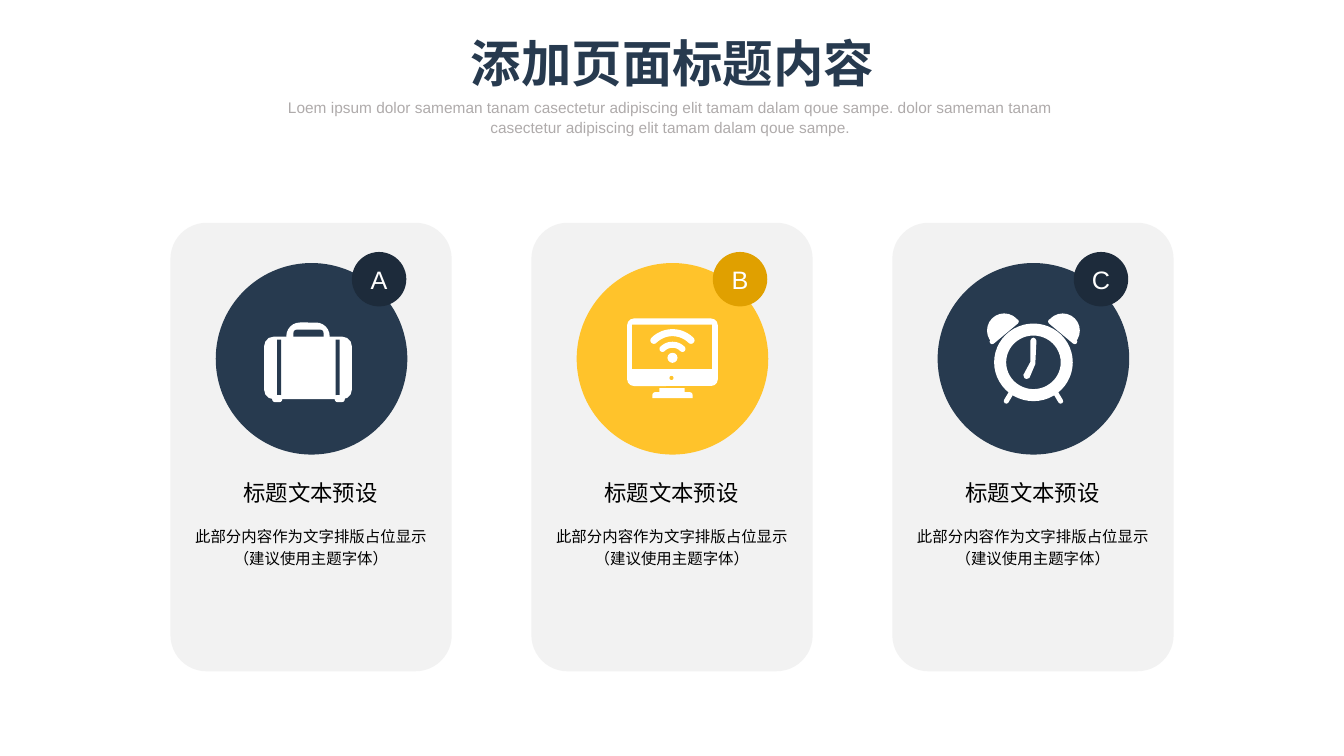
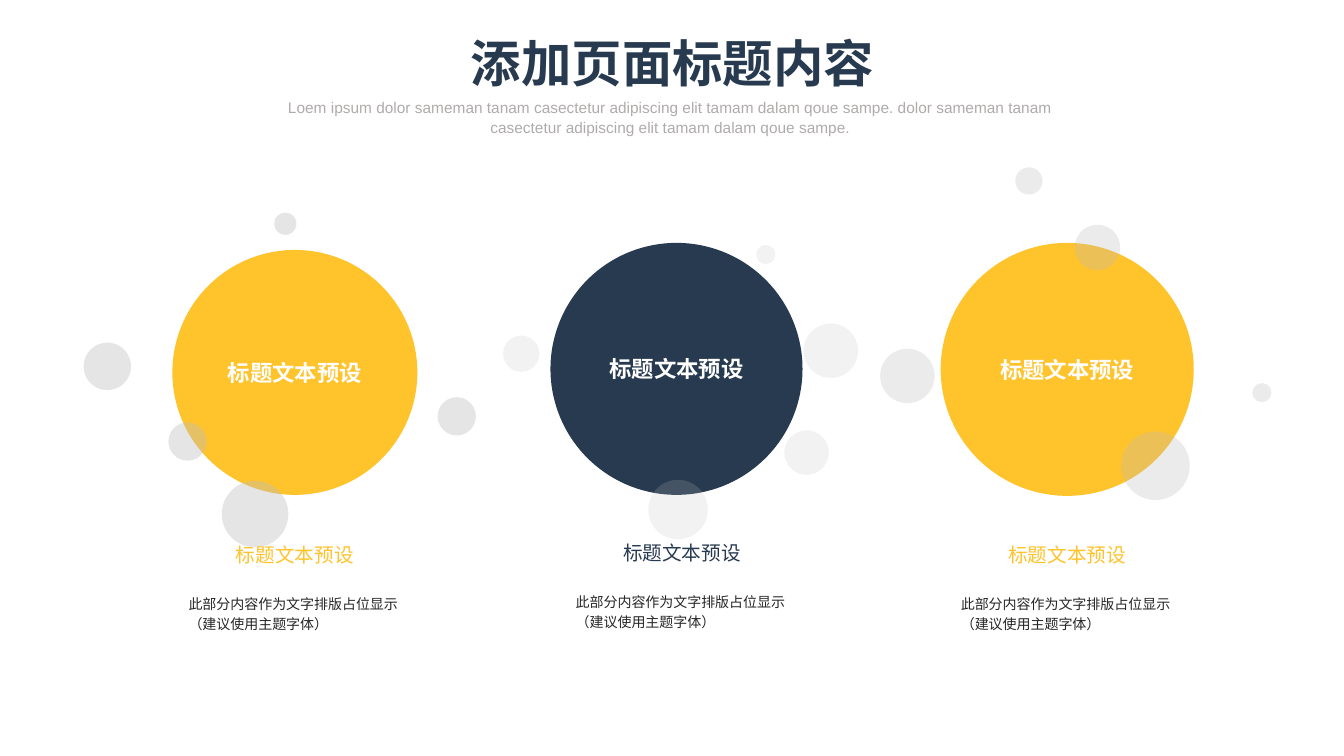
from math import cos, radians, sin

from lxml import etree
from pptx import Presentation
from pptx.dml.color import RGBColor
from pptx.enum import shapes, text
from pptx.oxml.ns import qn
from pptx.util import Pt

# Shared style
EMU_PER_PX = 9144  # 100 px to the inch
SLIDE_W, SLIDE_H = 1333, 750
FONT = "Arial"
COLOURS = {
    "navy": "273A4F", "dark navy": "1D2B3B", "yellow": "FFC32B",
    "dark yellow": "E0A000", "card": "F2F2F2", "bubble": "BFBFBF",
    "subtitle": "AFABAB", "body": "262626", "black": "000000", "white": "FFFFFF",
}
SHAPE = shapes.MSO_SHAPE
LEFT, CENTER = text.PP_ALIGN.LEFT, text.PP_ALIGN.CENTER
TOP, MIDDLE, BOTTOM = (text.MSO_ANCHOR.TOP, text.MSO_ANCHOR.MIDDLE,
                       text.MSO_ANCHOR.BOTTOM)

# Content shared by both slides
TITLE = "添加页面标题内容"
SUBTITLE = ("Loem ipsum dolor sameman tanam casectetur adipiscing elit tamam dalam "
            "qoue sampe. dolor sameman tanam casectetur adipiscing elit tamam dalam "
            "qoue sampe.")
HEADING = "标题文本预设"
BODY = "此部分内容作为文字排版占位显示\v（建议使用主题字体）"


def turn(degrees):
    """Angle as an adjustment value."""
    return degrees * 0.6


def arc_band(cy, radius, width):
    """Outline of a quarter ring above (0, cy) with round ends."""
    half = width / 2

    def sweep(x, y, r, start, end):
        return [(x + r * cos(radians(start + (end - start) * i / 12)),
                 y + r * sin(radians(start + (end - start) * i / 12)))
                for i in range(13)]

    dx = radius * cos(radians(45))
    return (sweep(0, cy, radius + half, 225, 315)
            + sweep(dx, cy - dx, half, 315, 495)
            + sweep(0, cy, radius - half, 315, 225)
            + sweep(-dx, cy - dx, half, 45, 225))


# Icons, measured from the centre of their disc
# parts: preset, box, colour (None is the disc colour), adjustments
# outlines: corner points; strokes: x1, y1, x2, y2, width
SUITCASE = {"parts": [
    (SHAPE.ROUNDED_RECTANGLE, (-25, -36, 43, 30), "white", [0.45]),
    (SHAPE.ROUNDED_RECTANGLE, (-47, -22, 87, 62), "white", [0.15]),
    (SHAPE.ROUND_2_SAME_RECTANGLE, (-18, -29, 30, 7), None, [0.5, 0]),
    (SHAPE.RECTANGLE, (-34, -19, 4, 55), None, []),
    (SHAPE.RECTANGLE, (24, -19, 4, 55), None, []),
    (SHAPE.ROUNDED_RECTANGLE, (-39, 36, 10, 7), "white", [0.4]),
    (SHAPE.ROUNDED_RECTANGLE, (23, 36, 10, 7), "white", [0.4]),
]}
MONITOR = {"parts": [
    (SHAPE.ROUNDED_RECTANGLE, (-45, -40, 90, 67), "white", [0.1]),
    (SHAPE.RECTANGLE, (-40, -34, 79, 44), None, []),
    (SHAPE.OVAL, (-3, 17, 4, 4), None, []),
    (SHAPE.RECTANGLE, (-13, 29, 25, 4), "white", []),
    (SHAPE.ROUND_2_SAME_RECTANGLE, (-20, 33, 40, 6), "white", [0.5, 0]),
    (SHAPE.OVAL, (-5, -6, 10, 10), "white", []),
], "outlines": [arc_band(0, 26, 7), arc_band(0, 14, 6)]}
CLOCK = {"parts": [
    (SHAPE.DONUT, (-39, -35, 78, 77), "white", [0.155]),
    (SHAPE.CHORD, (-46, -45, 34, 34), "white", [turn(134), turn(325)]),
    (SHAPE.CHORD, (12, -45, 34, 34), "white", [turn(215), turn(46)]),
], "outlines": [
    [(-3, -18), (-2, -20), (0, -21), (2, -20), (3, -18), (2, 3), (2, 5),      # hands
     (-4, 19), (-7, 20), (-9, 19), (-10, 16), (-3, 3)],
], "strokes": [
    (-41, -17, -17, -37, 5), (41, -17, 17, -37, 5),   # bell rims
    (-21, 32, -27, 42, 5), (21, 32, 27, 42, 5),       # feet
]}

# Slide 1: letter, disc colour, badge colour, icon
CARDS = [
    ("A", "navy", "dark navy", SUITCASE),
    ("B", "yellow", "dark yellow", MONITOR),
    ("C", "navy", "dark navy", CLOCK),
]
CARD_LEFT, CARD_STEP = 169, 358

# Slide 2: bubbles are left, top, diameter
TOPICS = [
    {"colour": "yellow", "disc": (171, 248, 243), "label": (162, 492), "opacity": 40,
     "bubbles": [(434, 394, 38), (167, 419, 38), (220, 477, 66), (272, 211, 22),
                 (83, 340, 47)]},
    {"colour": "navy", "disc": (546, 241, 250), "label": (546, 490), "opacity": 20,
     "bubbles": [(499, 333, 36), (643, 476, 59), (750, 243, 19), (778, 427, 44),
                 (797, 321, 54)]},
    {"colour": "yellow", "disc": (933, 241, 251), "label": (928, 492), "opacity": 30,
     "bubbles": [(873, 346, 54), (1007, 166, 27), (1112, 428, 68), (1242, 380, 19),
                 (1066, 223, 45)]},
]


def px(*lengths):
    return [round(n * EMU_PER_PX) for n in lengths]


def rgb(colour):
    return RGBColor.from_string(COLOURS[colour])


def write(part, words, size, colour, align=CENTER, anchor=MIDDLE, bold=False,
          insets=(0, 0, 0, 0), wrap=True, spacing=None):
    frame = part.text_frame
    frame.auto_size = text.MSO_AUTO_SIZE.NONE
    frame.word_wrap, frame.vertical_anchor = wrap, anchor
    (frame.margin_left, frame.margin_top,
     frame.margin_right, frame.margin_bottom) = px(*insets)
    paragraph = frame.paragraphs[0]
    paragraph.text = words
    paragraph.alignment = align
    if spacing:
        paragraph.line_spacing = spacing
    font = paragraph.font
    font.name, font.size, font.bold = FONT, Pt(size), bold
    font.color.rgb = rgb(colour)


def add_text(slide, box, words, size, colour, **style):
    write(slide.shapes.add_textbox(*px(*box)), words, size, colour, **style)


def paint(part, colour):
    part.shadow.inherit = False
    part.line.fill.background()
    part.fill.solid()
    part.fill.fore_color.rgb = rgb(colour)


def add_part(slide, preset, box, colour, adjustments=(), opacity=None):
    part = slide.shapes.add_shape(preset, *px(*box))
    paint(part, colour)
    for i, value in enumerate(adjustments):
        part.adjustments[i] = value
    if opacity:
        fill = part._element.spPr.find(qn("a:solidFill"))[0]
        etree.SubElement(fill, qn("a:alpha")).set("val", str(opacity * 1000))
    return part


def add_icon(slide, icon, cx, cy, disc_colour):
    for preset, (x, y, width, height), colour, adjustments in icon["parts"]:
        add_part(slide, preset, (cx + x, cy + y, width, height),
                 colour or disc_colour, adjustments)
    for outline in icon.get("outlines", []):
        points = [px(cx + x, cy + y) for x, y in outline]
        builder = slide.shapes.build_freeform(*points[0])
        builder.add_line_segments(points[1:], close=True)
        paint(builder.convert_to_shape(), "white")
    for x1, y1, x2, y2, width in icon.get("strokes", []):
        stroke = slide.shapes.add_connector(
            shapes.MSO_CONNECTOR.STRAIGHT, *px(cx + x1, cy + y1, cx + x2, cy + y2))
        stroke.line.color.rgb = rgb("white")
        stroke.line.width = px(width)[0]
        stroke._element.spPr.find(qn("a:ln")).set("cap", "rnd")
        etree.SubElement(stroke._element.spPr, qn("a:effectLst"))


def add_slide(deck):
    """New slide with the shared title and subtitle."""
    slide = deck.slides.add_slide(deck.slide_layouts[5])
    title = slide.shapes.title
    title.left, title.top, title.width, title.height = px(455, 27, 424, 71)
    write(title, TITLE, 36, "navy", anchor=TOP, bold=True, insets=(10, 5, 10, 5),
          wrap=False)
    add_text(slide, (250, 94, 833, 66), SUBTITLE, 11, "subtitle", anchor=TOP,
             insets=(10, 3, 13, 5), spacing=1.04)
    return slide


def build_cards(deck):
    slide = add_slide(deck)
    for i, (letter, disc_colour, badge_colour, icon) in enumerate(CARDS):
        left = CARD_LEFT + i * CARD_STEP
        card = add_part(slide, SHAPE.ROUNDED_RECTANGLE, (left, 221, 279, 445), "card",
                        [0.129])
        write(card, BODY, 11, "black", anchor=TOP, insets=(10, 287, 10, 5),
              spacing=1.22)
        add_part(slide, SHAPE.OVAL, (left + 45, 261, 190, 190), disc_colour)
        badge = add_part(slide, SHAPE.OVAL, (left + 180, 250, 54, 54), badge_colour)
        write(badge, letter, 18, "white", wrap=False)
        add_text(slide, (left + 60, 466, 158, 45), HEADING, 16, "black", wrap=False)
        add_icon(slide, icon, left + 140, 356, disc_colour)


def build_topics(deck):
    slide = add_slide(deck)
    for topic in TOPICS:
        left, top, size = topic["disc"]
        disc = add_part(slide, SHAPE.OVAL, (left, top, size, size), topic["colour"])
        write(disc, HEADING, 16, "white", bold=True, wrap=False)
        for x, y, diameter in topic["bubbles"]:
            add_part(slide, SHAPE.OVAL, (x, y, diameter, diameter), "bubble",
                     opacity=topic["opacity"])
        left, top = topic["label"]
        add_text(slide, (left, top, 261, 70), HEADING, 14, topic["colour"],
                 anchor=BOTTOM)
        add_text(slide, (left, top + 69, 261, 92), BODY, 10, "body", align=LEFT,
                 insets=(25, 5, 10, 5), spacing=1.2)


def main():
    deck = Presentation()
    deck.slide_width, deck.slide_height = px(SLIDE_W, SLIDE_H)
    build_cards(deck)
    build_topics(deck)
    deck.save("out.pptx")


if __name__ == "__main__":
    main()
